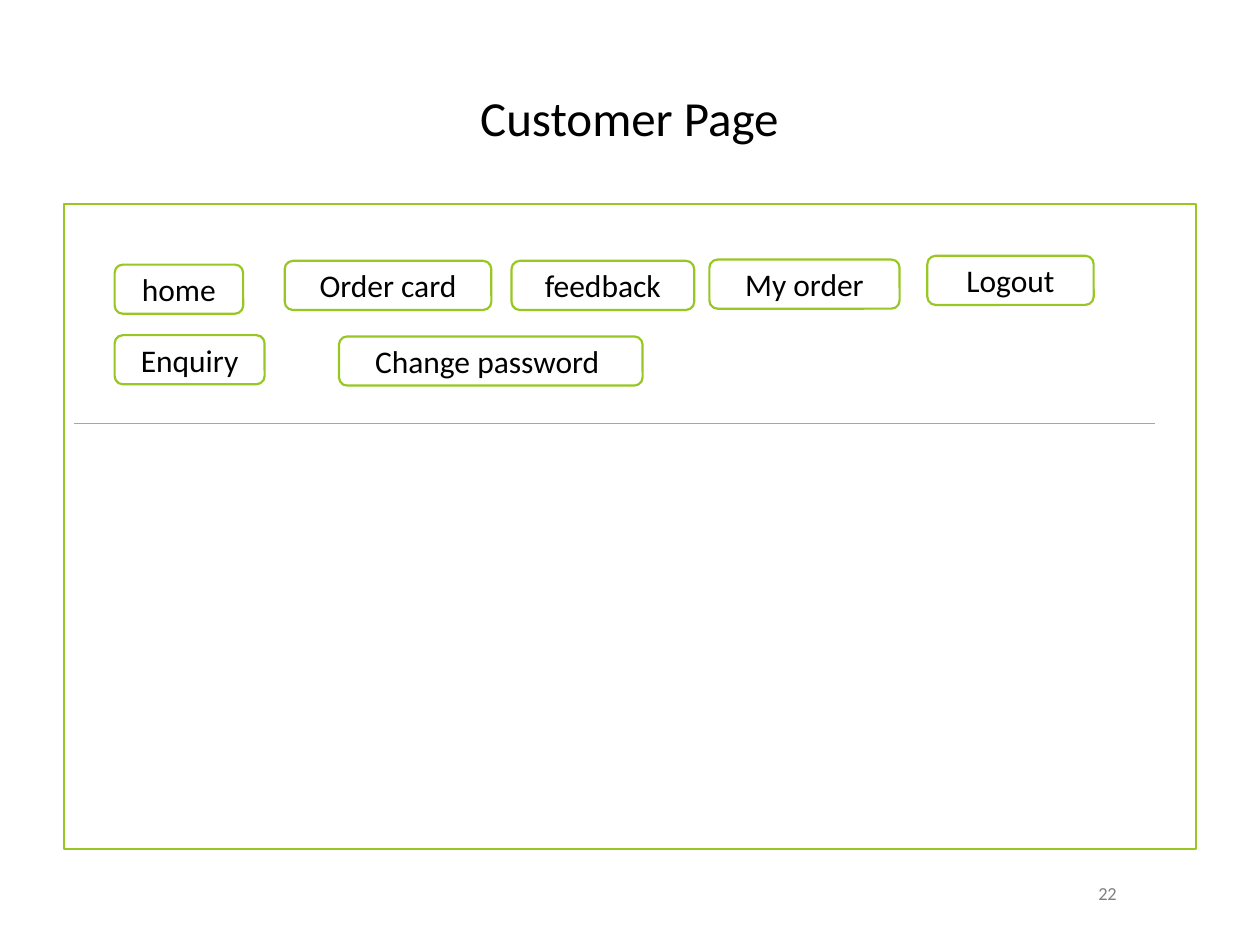
import pptx
import pptx.util
import pptx.dml.color
import pptx.enum.shapes
import pptx.enum.text
import lxml.etree

Inches = pptx.util.Inches
Shape = pptx.enum.shapes.MSO_SHAPE
COLORS = {"paper": "FFFFFF", "ink": "000000", "gray": "808080",
          "green": "98C723", "rule": "96C71E"}
FONT = "Calibri"
TITLE = ("Customer Page", (0.5, 0.3, 8.99, 1.25), 28, "ink")
NUMBER = ("22", (8.5, 7, 0.58, 0.17), 10.5, "gray")
FRAME = (0.51, 1.62, 8.98, 5.12)
RULE = (0.59, 3.36, 9.17, 3.36)
HEIGHT = 0.39
BUTTONS = [
    ("home", 0.91, 2.1, 1.02),
    ("Enquiry", 0.91, 2.66, 1.19),
    ("Logout", 7.36, 2.03, 1.32),
    ("Change password ", 2.69, 2.67, 2.41),
    ("My order", 5.63, 2.06, 1.51),
    ("feedback", 4.06, 2.07, 1.45),
    ("Order card", 2.26, 2.07, 1.64),
]


def color(name):
    return pptx.dml.color.RGBColor.from_string(COLORS[name])


def write(shape, text, size, ink):
    frame = shape.text_frame
    frame.word_wrap = True
    frame.margin_top = frame.margin_bottom = 0
    frame.vertical_anchor = pptx.enum.text.MSO_ANCHOR.MIDDLE
    line = frame.paragraphs[0]
    line.alignment = pptx.enum.text.PP_ALIGN.CENTER
    run = line.add_run()
    run.text = text
    run.font.name = FONT
    run.font.size = pptx.util.Pt(size)
    run.font.color.rgb = color(ink)


def add_label(slide, text, box, size, ink):
    label = slide.shapes.add_textbox(*map(Inches, box))
    write(label, text, size, ink)


def add_box(slide, kind, box):
    shape = slide.shapes.add_shape(kind, *map(Inches, box))
    shape.shadow.inherit = False
    shape.fill.solid()
    shape.fill.fore_color.rgb = color("paper")
    shape.line.color.rgb = color("green")
    shape.line.width = pptx.util.Pt(1.25)
    return shape


def add_rule(slide):
    rule = slide.shapes.add_connector(
        pptx.enum.shapes.MSO_CONNECTOR.STRAIGHT, *map(Inches, RULE))
    rule.line.color.rgb = color("rule")
    rule.line.width = pptx.util.Pt(0.75)
    props = rule._element.spPr
    lxml.etree.SubElement(props, pptx.oxml.ns.qn("a:effectLst"))


def main():
    deck = pptx.Presentation()
    deck.slide_width = Inches(10)
    deck.slide_height = Inches(7.5)
    slide = deck.slides.add_slide(deck.slide_layouts[6])
    for label in (TITLE, NUMBER):
        add_label(slide, *label)
    add_box(slide, Shape.RECTANGLE, FRAME)
    for text, left, top, width in BUTTONS:
        button = add_box(slide, Shape.ROUNDED_RECTANGLE,
                         (left, top, width, HEIGHT))
        write(button, text, 18, "ink")
    add_rule(slide)
    deck.save("out.pptx")


if __name__ == "__main__":
    main()
